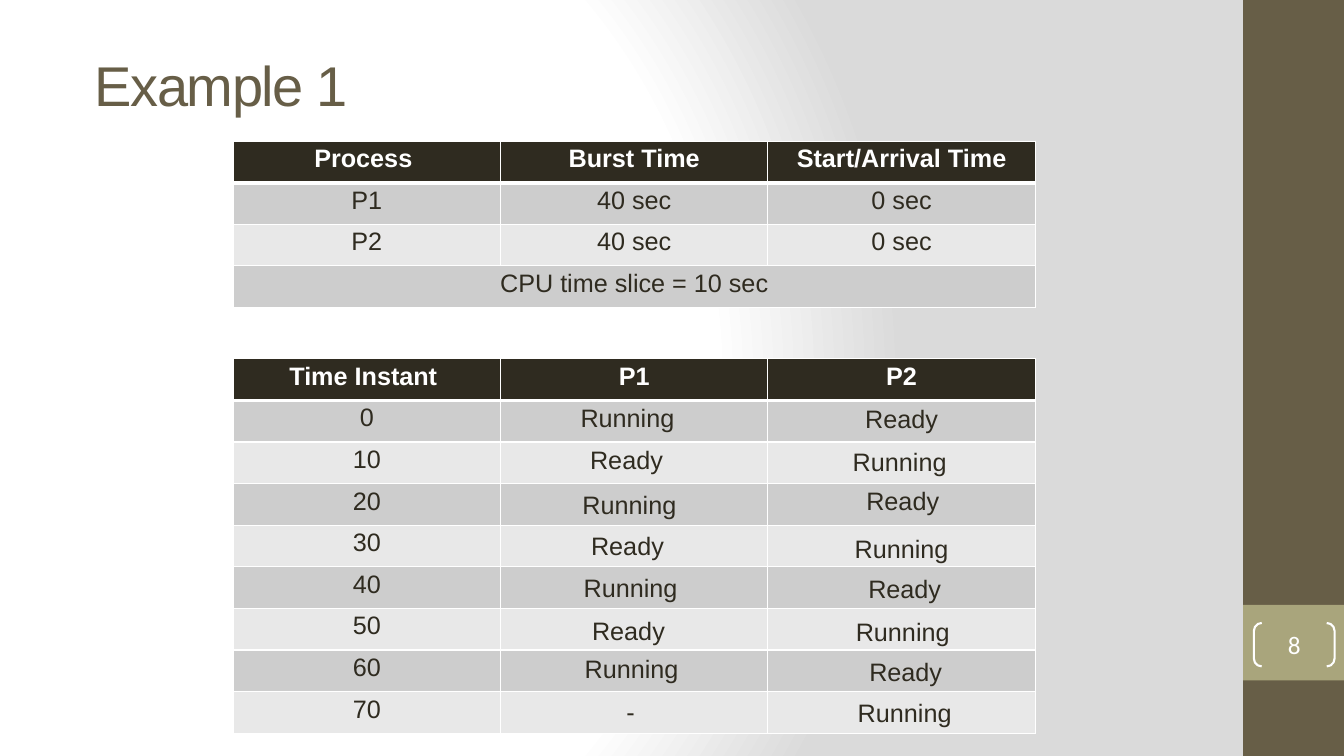
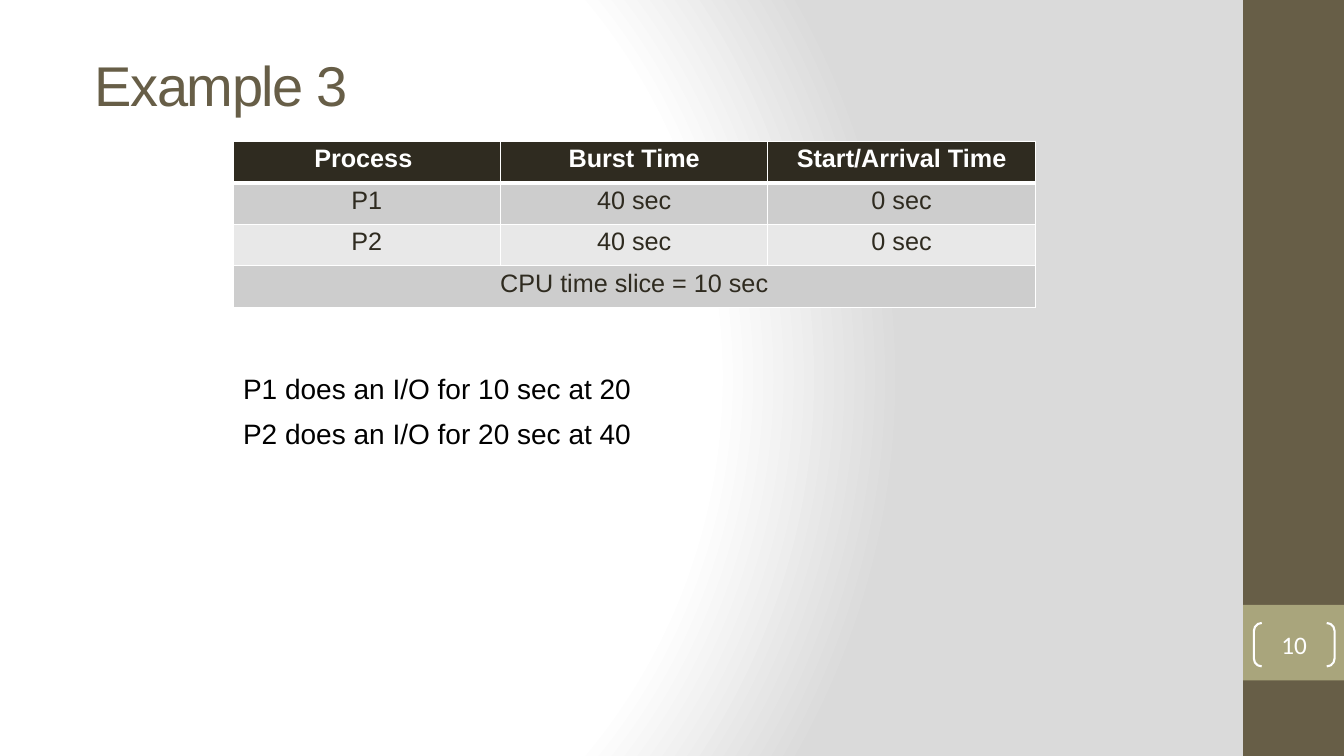
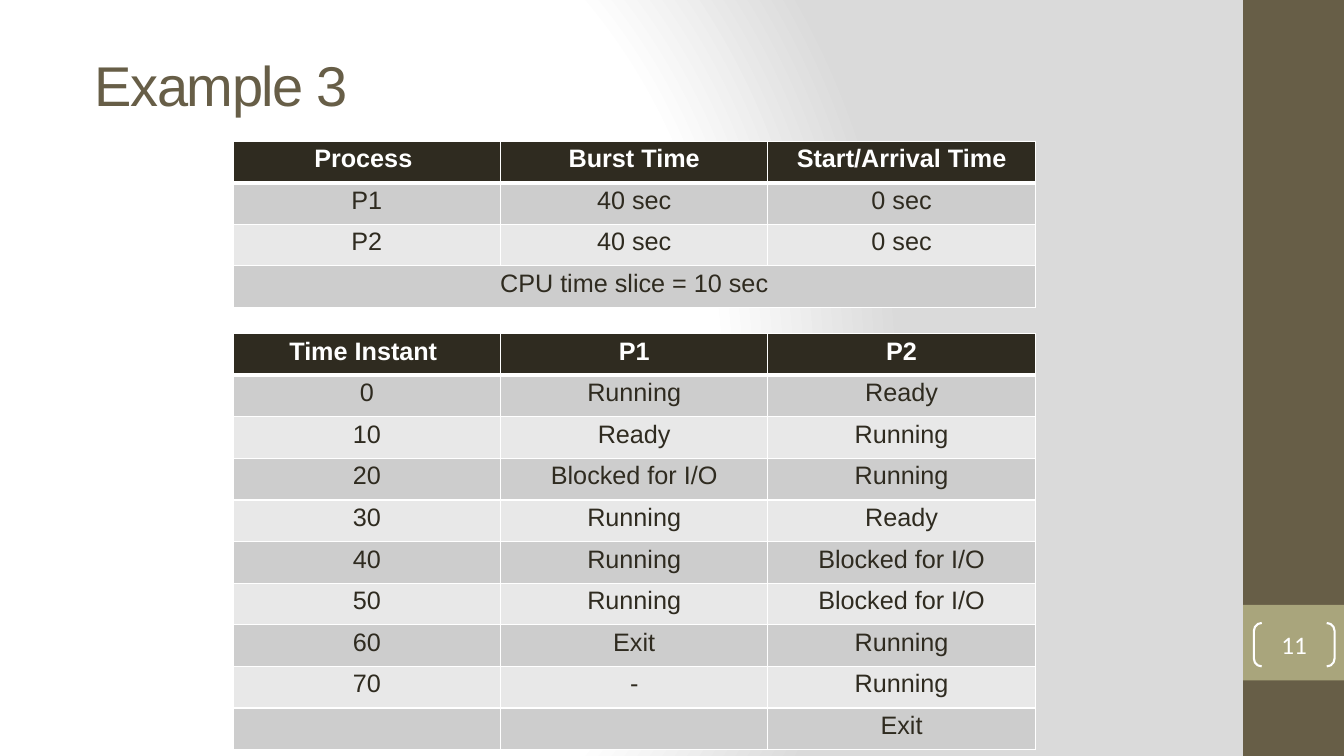
"""Three slides of process scheduling examples."""
from lxml import etree
from pptx import Presentation
from pptx.dml.color import RGBColor
from pptx.enum import shapes as es, text as et
from pptx.oxml import parse_xml
from pptx.oxml import ns
from pptx.util import Pt

INK = {"band": "675E47", "tab": "A9A57C", "head": "2F2B20", "odd": "CDCDCD",
       "even": "E8E8E8", "white": "FFFFFF", "edge": "DADADA", "black": "000000"}
FONT = "Arial"
WIDE, HIGH = 960, 540
LEFT, COL, ROW = 166.5, 191, 29.72

JOBS = [("Process ", "Burst Time", "Start/Arrival Time"),
        ("P1", "40 sec", "0 sec"),
        ("P2", "40 sec", "0 sec"),
        ("CPU time slice = 10 sec",)]
HEAD = ("Time Instant ", "P1", "P2")
TIMES = [str(n) for n in range(0, 80, 10)]
STEPS = [("Running", "Ready"), ("Ready", "Running"),
         ("Blocked for I/O", "Running"), ("Running", "Ready"),
         ("Running", "Blocked for I/O"), ("Running", "Blocked for I/O"),
         ("Exit", "Running"), ("-", "Running")]
STATES = [("Running", 388.8, 283.7), ("Ready", 388.1, 313.9),
          ("Running", 390.2, 345.6), ("Ready", 388.8, 375.1),
          ("Running", 391, 405.4), ("Ready", 389.5, 436.3),
          ("Running", 391.7, 463), ("-", 391, 493.9),
          ("Ready", 584.6, 284.4), ("Running", 583.2, 315.4),
          ("Ready", 585.4, 343.4), ("Running", 584.6, 377.3),
          ("Ready", 586.8, 406.1), ("Running", 585.4, 437),
          ("Ready", 587.5, 465.1), ("Running", 586.8, 494.6)]
NOTES = ["P1 does an I/O for 10 sec at 20", "P2 does an I/O for 20 sec at 40"]
SLIDES = [
    {"title": "Example 1", "num": "8", "top": 256.3,
     "rows": [HEAD] + [(t, "", "") for t in TIMES], "states": STATES},
    {"title": "Example 3", "num": "10", "notes": NOTES},
    {"title": "Example 3", "num": "11", "top": 238.3,
     "rows": [HEAD] + [(t, *s) for t, s in zip(TIMES, STEPS)]
     + [("", "", "Exit")]},
]


def rgb(name):
    return RGBColor.from_string(INK[name])


def write(para, words, size, ink, font=FONT, bold=False, mid=True):
    para.alignment = et.PP_ALIGN.CENTER if mid else et.PP_ALIGN.LEFT
    run = para.add_run()
    run.text = words
    run.font.size, run.font.name, run.font.bold = Pt(size), font, bold
    run.font.color.rgb = rgb(ink)
    return run


def add_box(slide, left, top, width, height):
    box = slide.shapes.add_textbox(Pt(left), Pt(top), Pt(width), Pt(height))
    box.text_frame.word_wrap = True
    return box.text_frame


def add_band(slide, layout, spot, top, height, ink):
    band = slide.shapes.add_shape(es.MSO_SHAPE.RECTANGLE, Pt(888), Pt(top),
                                  Pt(WIDE - 888), Pt(height))
    band.shadow.inherit = False
    band.fill.solid()
    band.fill.fore_color.rgb = rgb(ink)
    band.line.fill.background()
    layout.shapes.element.insert(spot, band.element)


def set_back(layout):
    stops = "".join(
        f'<a:gs pos="{pos}000"><a:srgbClr val="{INK[ink]}"/></a:gs>'
        for pos, ink in [(0, "white"), (75, "white"), (100, "edge")])
    layout.element.cSld.insert(0, parse_xml(
        f'<p:bg {ns.nsdecls("p", "a")}><p:bgPr><a:gradFill rotWithShape="1">'
        f'<a:gsLst>{stops}</a:gsLst><a:path path="circle"><a:fillToRect '
        'l="20000" t="50000" r="100000" b="50000"/></a:path></a:gradFill>'
        '<a:effectLst/></p:bgPr></p:bg>'))


def set_edge(cell, side, width):
    line = etree.SubElement(cell._tc.get_or_add_tcPr(), ns.qn(f"a:ln{side}"),
                            w=str(Pt(width)))
    fill = etree.SubElement(line, ns.qn("a:solidFill"))
    etree.SubElement(fill, ns.qn("a:srgbClr"), val=INK["white"])


def add_grid(slide, top, rows):
    cols = len(rows[0])
    grid = slide.shapes.add_table(len(rows), cols, Pt(LEFT), Pt(top),
                                  Pt(COL * cols), Pt(ROW * len(rows))).table
    for col in grid.columns:
        col.width = Pt(COL)
    for r, row in enumerate(rows):
        grid.rows[r].height = Pt(ROW)
        ink = "head" if r == 0 else "odd" if r % 2 else "even"
        for c in range(cols):
            cell = grid.cell(r, c)
            cell.margin_left = cell.margin_right = Pt(5.2)
            cell.margin_top = cell.margin_bottom = Pt(2.6)
            for side in "LRTB":
                thick = (r, side) in [(0, "B"), (1, "T")]
                set_edge(cell, side, 3 if thick else 1)
            cell.fill.solid()
            cell.fill.fore_color.rgb = rgb(ink)
            if c < len(row) and row[c]:
                write(cell.text_frame.paragraphs[0], row[c], 18,
                      "head" if r else "white", bold=r == 0)
        if len(row) == 1:
            grid.cell(r, 0).merge(grid.cell(r, cols - 1))


def add_title(slide, words):
    title = slide.shapes.title
    title.left, title.top = Pt(60.5), Pt(43.9)
    title.width, title.height = Pt(785.5), Pt(32.4)
    frame = title.text_frame
    frame.auto_size = et.MSO_AUTO_SIZE.NONE
    frame.vertical_anchor = et.MSO_ANCHOR.MIDDLE
    run = write(frame.paragraphs[0], words, 40, "band", mid=False)
    run.font._element.set("spc", "-100")


def add_num(slide, words):
    pair = slide.shapes.add_shape(es.MSO_SHAPE.DOUBLE_BRACKET, Pt(895.7),
                                  Pt(445), Pt(57.6), Pt(31))
    pair.adjustments[0] = 0.18
    pair.shadow.inherit = False
    pair.fill.background()
    pair.line.color.rgb = rgb("white")
    pair.line.width = Pt(1.5)
    frame = pair.text_frame
    frame.margin_left = frame.margin_right = 0
    frame.margin_top = frame.margin_bottom = 0
    frame.vertical_anchor = et.MSO_ANCHOR.MIDDLE
    write(frame.paragraphs[0], words, 18, "white", font="Calibri")


def add_notes(slide, lines):
    frame = add_box(slide, LEFT, 262, 480, 64)
    for i, words in enumerate(lines):
        para = frame.add_paragraph() if i else frame.paragraphs[0]
        if i:
            para.space_before = Pt(8)
        write(para, words, 20, "black", mid=False)


def main():
    deck = Presentation()
    deck.slide_width, deck.slide_height = Pt(WIDE), Pt(HIGH)
    layout = deck.slide_layouts[5]
    set_back(layout)
    for i, data in enumerate(SLIDES):
        slide = deck.slides.add_slide(layout)
        if i == 0:
            add_band(slide, layout, 2, 0, HIGH, "band")
            add_band(slide, layout, 3, 432, 54, "tab")
        add_title(slide, data["title"])
        add_num(slide, data["num"])
        add_grid(slide, 100.8, JOBS)
        if "rows" in data:
            add_grid(slide, data["top"], data["rows"])
        for words, left, top in data.get("states", []):
            frame = add_box(slide, left, top, 118.8, 29)
            write(frame.paragraphs[0], words, 18, "head")
        if "notes" in data:
            add_notes(slide, data["notes"])
    deck.save("out.pptx")


if __name__ == "__main__":
    main()
